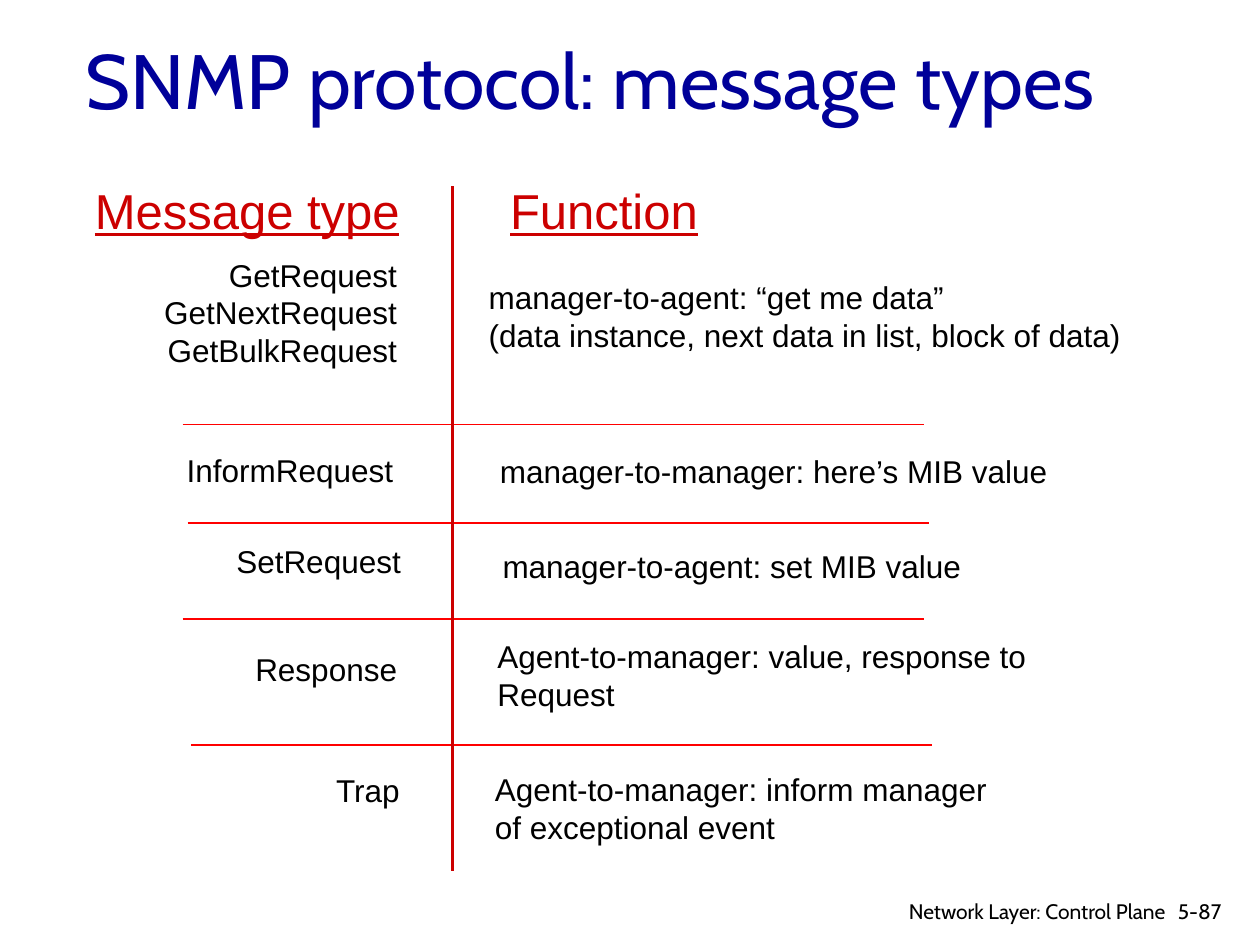
"""Build the slide that lists SNMP message types and their functions."""
from dataclasses import dataclass

import pptx
import pptx.dml.color
import pptx.enum.shapes
import pptx.enum.text
import pptx.oxml
import pptx.oxml.ns
import pptx.slide
import pptx.util
from pptx.util import Inches

ALIGN = pptx.enum.text.PP_ALIGN
ANCHOR = pptx.enum.text.MSO_ANCHOR


@dataclass(frozen=True)
class Theme:
    title_color: str = "000099"
    accent: str = "CC0000"
    rule_color: str = "FF0000"
    ink: str = "000000"
    title_font: str = "Cabin"
    body_font: str = "Arial"
    title_size: int = 44
    heading_size: int = 28
    body_size: int = 18
    footer_size: int = 12


THEME = Theme()


@dataclass(frozen=True)
class Style:
    font: str
    size: int
    color: str
    underline: bool = False


TITLE = Style(THEME.title_font, THEME.title_size, THEME.title_color)
HEADING = Style(THEME.body_font, THEME.heading_size, THEME.accent, True)
BODY = Style(THEME.body_font, THEME.body_size, THEME.ink)
FOOTER = Style(THEME.title_font, THEME.footer_size, THEME.ink)


@dataclass(frozen=True)
class Label:
    lines: tuple[str, ...]
    left: float
    top: float
    width: float
    height: float


@dataclass(frozen=True)
class Row:
    message: Label
    function: Label


@dataclass(frozen=True)
class Rule:
    left: float
    top: float


RULE_LENGTH = 5.88
RULES = (Rule(1.45, 3.37), Rule(1.49, 4.15), Rule(1.45, 4.91), Rule(1.52, 5.91))

HEADINGS = Row(
    Label(("Message type",), 0.62, 1.38, 2.65, 0.57),
    Label(("Function",), 3.95, 1.38, 1.71, 0.57),
)
ROWS = (
    Row(
        Label(("GetRequest", "GetNextRequest", "GetBulkRequest"), 0.55, 1.98, 2.7, 1.31),
        Label(
            ("manager-to-agent: “get me data”", "(data instance, next data in list, block of data)"),
            3.78, 2.16, 5.27, 0.71,
        ),
    ),
    Row(
        Label(("InformRequest",), 0.4, 3.53, 2.82, 0.5),
        Label(("manager-to-manager: here’s MIB value",), 3.87, 3.54, 4.93, 0.4),
    ),
    Row(
        Label(("SetRequest",), 0.46, 4.25, 2.82, 0.5),
        Label(("manager-to-agent: set MIB value",), 3.89, 4.29, 4.67, 0.4),
    ),
    Row(
        Label(("Response",), 0.43, 5.11, 2.82, 0.5),
        Label(("Agent-to-manager: value, response to", "Request"), 3.85, 5.01, 4.63, 0.71),
    ),
    Row(
        Label(("Trap",), 0.45, 6.07, 2.82, 0.5),
        Label(("Agent-to-manager: inform manager", "of exceptional event"), 3.83, 6.06, 5.24, 0.71),
    ),
)
CHAPTER = Label(("Network Layer: Control Plane",), 6.97, 7.08, 2.38, 0.26)
PAGE_NUMBER = Label(("5-87",), 9.25, 7.08, 0.6, 0.3)


def write_lines(
    frame: pptx.text.text.TextFrame, lines: tuple[str, ...], style: Style, align: ALIGN
) -> None:
    frame.word_wrap = True
    frame.auto_size = pptx.enum.text.MSO_AUTO_SIZE.NONE
    for index, line in enumerate(lines):
        para = frame.add_paragraph() if index else frame.paragraphs[0]
        para.alignment = align
        span = para.add_run()
        span.text = line
        span.font.name = style.font
        span.font.size = pptx.util.Pt(style.size)
        span.font.underline = style.underline
        span.font.color.rgb = pptx.dml.color.RGBColor.from_string(style.color)


def add_label(
    page: pptx.slide.Slide, label: Label, style: Style, align: ALIGN = ALIGN.LEFT
) -> None:
    box = page.shapes.add_textbox(
        Inches(label.left), Inches(label.top), Inches(label.width), Inches(label.height)
    )
    write_lines(box.text_frame, label.lines, style, align)


def add_row(page: pptx.slide.Slide, row: Row, style: Style) -> None:
    add_label(page, row.message, style, ALIGN.RIGHT)
    add_label(page, row.function, style)


def add_line(
    page: pptx.slide.Slide,
    start: tuple[float, float],
    end: tuple[float, float],
    color: str,
    weight: float,
) -> None:
    line = page.shapes.add_connector(
        pptx.enum.shapes.MSO_CONNECTOR.STRAIGHT, *map(Inches, start + end)
    )
    line.line.color.rgb = pptx.dml.color.RGBColor.from_string(color)
    line.line.width = pptx.util.Pt(weight)
    effects = pptx.oxml.parse_xml(f"<a:effectLst {pptx.oxml.ns.nsdecls('a')}/>")
    line._element.spPr.append(effects)


def add_title(page: pptx.slide.Slide, text: str) -> None:
    title = page.shapes.title
    title.left, title.top = Inches(0.58), Inches(0)
    title.width, title.height = Inches(8.5), Inches(1.25)
    title.text_frame.vertical_anchor = ANCHOR.MIDDLE
    write_lines(title.text_frame, (text,), TITLE, ALIGN.LEFT)


def main() -> None:
    deck = pptx.Presentation()
    deck.slide_width, deck.slide_height = Inches(10), Inches(7.5)
    page = deck.slides.add_slide(deck.slide_layouts.get_by_name("Title Only"))
    add_title(page, "SNMP protocol: message types")
    add_row(page, HEADINGS, HEADING)
    for row in ROWS:
        add_row(page, row, BODY)
    for rule in RULES:
        end = (rule.left + RULE_LENGTH, rule.top)
        add_line(page, (rule.left, rule.top), end, THEME.rule_color, 1)
    add_line(page, (3.59, 1.48), (3.59, 6.91), THEME.accent, 2)
    add_label(page, PAGE_NUMBER, FOOTER)
    add_label(page, CHAPTER, FOOTER, ALIGN.RIGHT)
    deck.save("out.pptx")


if __name__ == "__main__":
    main()
